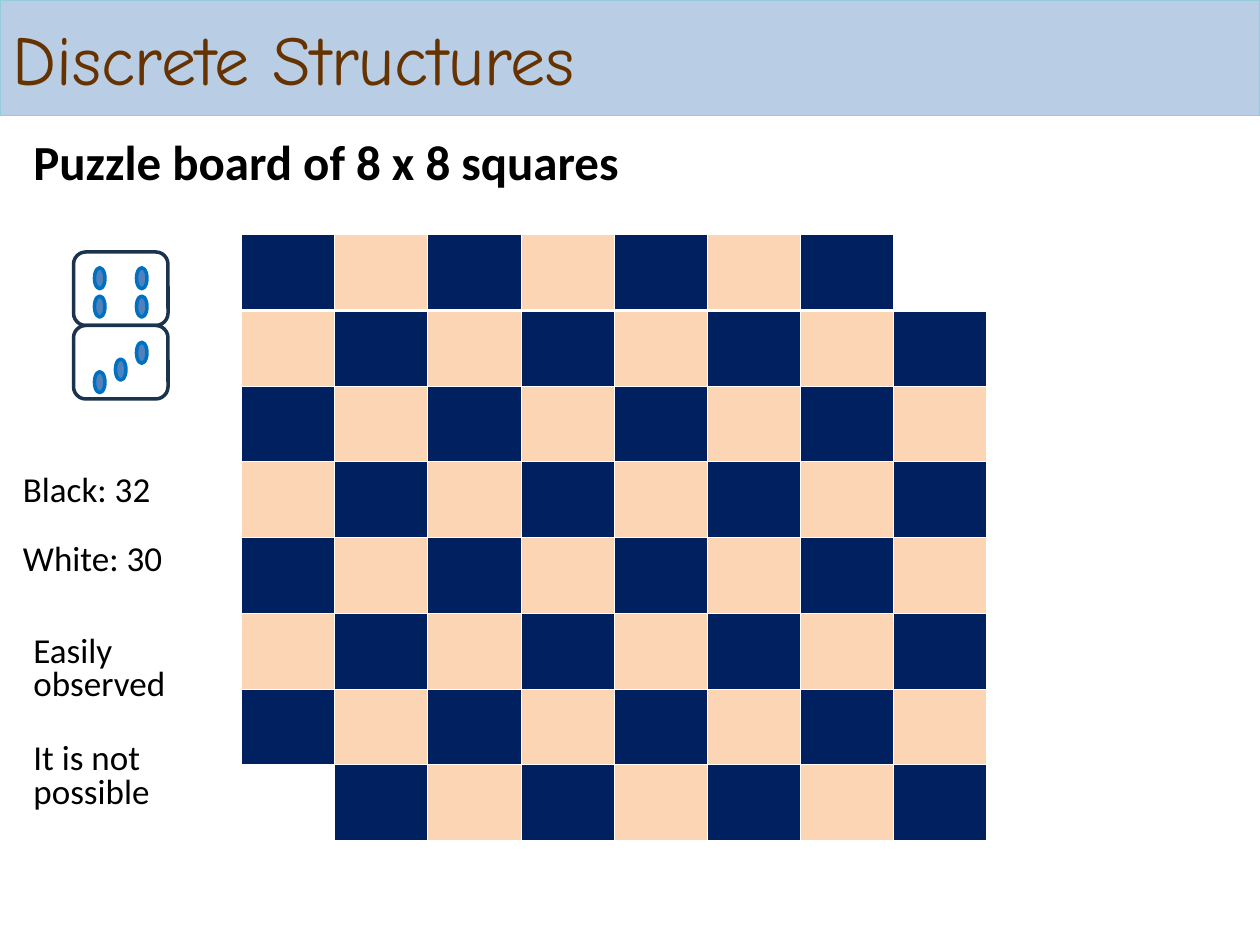
from dataclasses import dataclass

from lxml.etree import SubElement
from pptx import Presentation
from pptx.dml.color import RGBColor
from pptx.enum.shapes import MSO_SHAPE
from pptx.enum.text import MSO_ANCHOR, PP_ALIGN
from pptx.oxml.ns import qn
from pptx.util import Inches, Pt

# Lengths are counted in grid units, twelve to the inch.
UNIT = Inches(1) / 12
WIDE, HIGH = 120, 90
SIDE = 8
NAVY, PEACH, WHITE = "002060", "FCD5B5", "FFFFFF"


@dataclass
class Box:
    x: float
    y: float
    w: float
    h: float

    def emu(self) -> list[int]:
        return [round(n * UNIT) for n in (self.x, self.y, self.w, self.h)]


@dataclass
class Look:
    fill: str
    line: str
    width: float


@dataclass
class Note:
    box: Box
    lines: list[str]
    size: float
    lead: float
    above: float = 0
    bold: bool = False


BAND = Look("B9CDE5", "93CDDD", 0.75)
TILE = Look(WHITE, "1C334E", 2)
PIP = Look("4F81BD", "0070C0", 2)

HALVES = [24, 31]
PIPS = [(13, 25.5), (9, 25.5), (13, 28.2), (9, 28.2),
        (13, 32.6), (9, 35.4), (11, 34.2)]
NOTES = [
    Note(Box(2, 13, 64, 6), ["Puzzle board of 8 x 8 squares"], 28, 0.8, bold=True),
    Note(Box(1, 45, 20, 11), ["Black: 32", "White: 30"], 20, 0.7, 5),
    Note(Box(2, 60, 20, 18), ["Easily observed", "It is not possible"], 20, 0.8, 5),
]


def color(code: str) -> RGBColor:
    return RGBColor.from_string(code)


def style(item, **values) -> None:
    for key, value in values.items():
        setattr(item, key, value)


def shape(parent, kind, box: Box, look: Look):
    item = parent.add_shape(kind, *box.emu())
    item.shadow.inherit = False
    item.fill.solid()
    item.fill.fore_color.rgb = color(look.fill)
    item.line.color.rgb = color(look.line)
    item.line.width = Pt(look.width)
    return item


def header(shapes) -> None:
    band = shape(shapes, MSO_SHAPE.RECTANGLE, Box(0, 0, WIDE, 11), BAND)
    band.text_frame.vertical_anchor = MSO_ANCHOR.MIDDLE
    para = band.text_frame.paragraphs[0]
    para.alignment = PP_ALIGN.LEFT
    run = para.add_run()
    run.text = "Discrete Structures"
    style(run.font, name="Comic Neue", size=Pt(40))
    run.font.color.rgb = color("663300")


def write(shapes, note: Note) -> None:
    frame = shapes.add_textbox(*note.box.emu()).text_frame
    frame.word_wrap = True
    for i, line in enumerate(note.lines):
        para = frame.add_paragraph() if i else frame.paragraphs[0]
        style(para, line_spacing=note.lead, space_after=Pt(18),
              space_before=Pt(note.above if i else 0))
        run = para.add_run()
        run.text = line
        style(run.font, name="Calibri", size=Pt(note.size), bold=note.bold)
        run.font.color.rgb = color("000000")


def border(cell, edge: str, width: float) -> None:
    line = SubElement(cell._tc.get_or_add_tcPr(), qn(f"a:ln{edge}"), w=str(Pt(width)))
    fill = SubElement(line, qn("a:solidFill"))
    SubElement(fill, qn("a:srgbClr"), val=WHITE)


def board(shapes, box: Box) -> None:
    """Draw the checkered board without two opposite corners."""
    table = shapes.add_table(SIDE, SIDE, *box.emu()).table
    gone = {(0, SIDE - 1), (SIDE - 1, 0)}
    for row in range(SIDE):
        for col in range(SIDE):
            cell = table.cell(row, col)
            thick = {(0, "B"), (1, "T")}
            for edge in "LRTB":
                border(cell, edge, 1.47 if (row, edge) in thick else 0.45)
            shade = PEACH if (row + col) % 2 else NAVY
            cell.fill.solid()
            cell.fill.fore_color.rgb = color(WHITE if (row, col) in gone else shade)


def domino(shapes) -> None:
    group = shapes.add_group_shape().shapes
    for y in HALVES:
        shape(group, MSO_SHAPE.ROUNDED_RECTANGLE, Box(7, y, 9, 7), TILE)
    for x, y in PIPS:
        shape(group, MSO_SHAPE.OVAL, Box(x, y, 1, 2), PIP)


def main() -> None:
    deck = Presentation()
    style(deck, slide_width=round(WIDE * UNIT), slide_height=round(HIGH * UNIT))
    shapes = deck.slides.add_slide(deck.slide_layouts[6]).shapes
    header(shapes)
    board(shapes, Box(23, 22.35, 71, 57.7))
    domino(shapes)
    for note in NOTES:
        write(shapes, note)
    deck.save("out.pptx")


if __name__ == "__main__":
    main()
